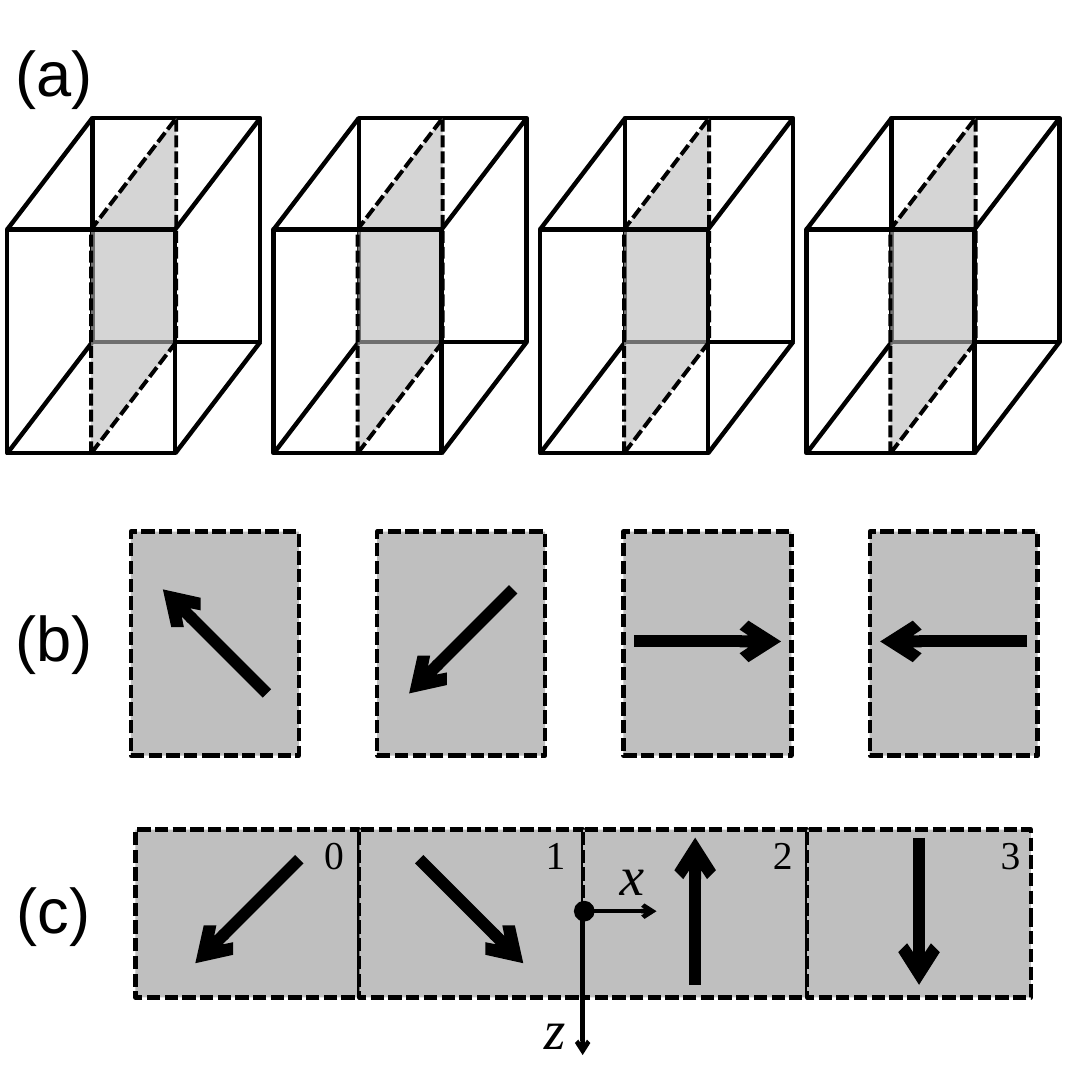
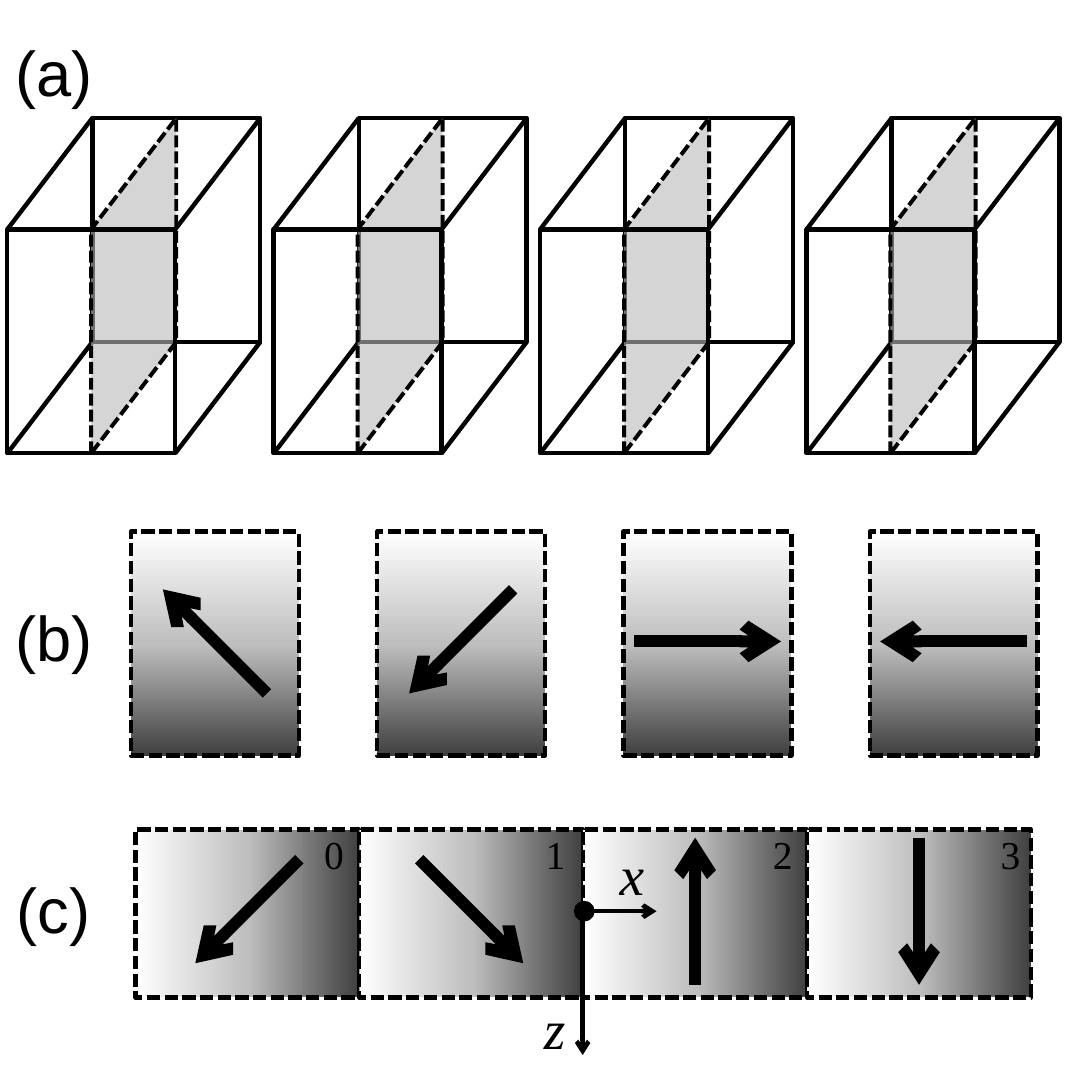
"""Build two slides of boxes, cut planes and orientation arrows, flat and graded."""
from copy import deepcopy
from math import cos, radians, sin

from lxml import etree
from pptx import Presentation
from pptx.dml.color import RGBColor
from pptx.enum.dml import MSO_LINE
from pptx.enum.shapes import MSO_CONNECTOR, MSO_SHAPE
from pptx.enum.text import MSO_AUTO_SIZE
from pptx.oxml.ns import qn
from pptx.util import Cm, Pt

RECTANGLE, OVAL = MSO_SHAPE.RECTANGLE, MSO_SHAPE.OVAL
STRAIGHT, DASHED = MSO_CONNECTOR.STRAIGHT, MSO_LINE.SQUARE_DOT
FIT_SHAPE = MSO_AUTO_SIZE.SHAPE_TO_FIT_TEXT

BLACK = RGBColor(0x00, 0x00, 0x00)
WHITE = RGBColor(0xFF, 0xFF, 0xFF)
GREY = RGBColor(0xBF, 0xBF, 0xBF)
DARK_GREY = RGBColor(0x40, 0x40, 0x40)
PLANE_GREY = RGBColor(0xBA, 0xBA, 0xBA)
PLANE_OPACITY = 60

SLIDE_SIDE = 19.51
FACE_W, FACE_H = 3, 4
DEPTH_X, DEPTH_Y = 1.52, 1.99
BOX_COUNT, BOX_LEFT, BOX_TOP, BOX_PITCH = 4, 0.13, 4.1, 4.76
ARROW_LENGTH, ARROW_RISE = 2.63, 0.04
THIN, PLANE_LINE, THICK = 2.25, 2, 6

SLIDE_SHADES = [(GREY,), (WHITE, GREY, DARK_GREY)]

# Rows give first centre x, centre y, pitch, panel rotation and arrow headings.
ROWS = [
    (3.84, 11.5, 4.4, 0, (225, 135, 0, 180)),
    (4.42, 16.32, 4, 270, (135, 45, 270, 90)),
]
ROW_LABELS = [
    ("(a)", 0.03, 0.48, 1.9),
    ("(b)", 0.03, 10.57, 1.9),
    ("(c)", 0.05, 15.42, 1.83),
]
AXES = [
    ((10.44, 16.28), (11.73, 16.28)),
    ((10.41, 16.33), (10.41, 18.85)),
]
ORIGIN_DOT = (10.29, 16.13, 0.3, 0.3)
AXIS_NAMES = [("x", 10.82, 14.88, 0.97), ("z", 9.47, 17.63, 0.89)]
PANEL_NUMBERS = [
    ("0", 5.54, 14.71, 0.86),
    ("1", 9.5, 14.71, 0.86),
    ("2", 13.56, 14.71, 0.86),
    ("3", 17.63, 14.71, 0.86),
]


def outline(shape, weight, dashed=False):
    shape.line.color.rgb = BLACK
    shape.line.width = Pt(weight)
    if dashed:
        shape.line.dash_style = DASHED


def add_line(shapes, start, end, weight=THIN, arrow=False):
    line = shapes.add_connector(STRAIGHT, *(Cm(v) for v in (*start, *end)))
    outline(line, weight)
    properties = line._element.spPr
    if arrow:
        etree.SubElement(properties.find(qn("a:ln")), qn("a:tailEnd"), type="arrow")
    etree.SubElement(properties, qn("a:effectLst"))


def add_outlined(shapes, kind, place, shades=(), weight=THIN, dashed=False):
    shape = shapes.add_shape(kind, *(Cm(v) for v in place))
    shape.shadow.inherit = False
    outline(shape, weight, dashed)
    paint(shape, shades)
    return shape


def paint(shape, shades):
    fill = shape.fill
    if not shades:
        fill.background()
    elif len(shades) == 1:
        fill.solid()
        fill.fore_color.rgb = shades[0]
    else:
        fill.gradient()
        fill.gradient_angle = 270
        stops = shape._element.spPr.find(qn("a:gradFill")).find(qn("a:gsLst"))
        while len(stops) < len(shades):
            stops.append(deepcopy(stops[0]))
        for i, (stop, shade) in enumerate(zip(fill.gradient_stops, shades)):
            stop.color.rgb = shade
            stop.position = i / (len(shades) - 1)


def add_plane(shapes, corners):
    start, *others = [(Cm(x), Cm(y)) for x, y in corners]
    builder = shapes.build_freeform(*start)
    builder.add_line_segments(others, close=True)
    plane = builder.convert_to_shape()
    plane.shadow.inherit = False
    outline(plane, PLANE_LINE, dashed=True)
    paint(plane, (PLANE_GREY,))
    colour = plane._element.spPr.find(qn("a:solidFill"))[0]
    etree.SubElement(colour, qn("a:alpha"), val=str(PLANE_OPACITY * 1000))


def add_box(shapes, left):
    right, middle = left + FACE_W, left + FACE_W / 2
    top, bottom = BOX_TOP, BOX_TOP + FACE_H

    def behind(x, y):
        return x + DEPTH_X, y - DEPTH_Y

    add_outlined(shapes, RECTANGLE, (*behind(left, top), FACE_W, FACE_H))
    for corner in ((left, top), (right, bottom), (left, bottom)):
        add_line(shapes, corner, behind(*corner))
    add_plane(shapes, [(middle, bottom), (middle, top),
                       behind(middle, top), behind(middle, bottom)])
    add_outlined(shapes, RECTANGLE, (left, top, FACE_W, FACE_H))
    add_line(shapes, (right, top), behind(right, top))


def add_row(shapes, first_x, y, pitch, rotation, headings, shades):
    centres = [first_x + i * pitch for i in range(len(headings))]
    for x in centres:
        place = (x - FACE_W / 2, y - FACE_H / 2, FACE_W, FACE_H)
        add_outlined(shapes, RECTANGLE, place, shades, dashed=True).rotation = rotation
    for x, heading in zip(centres, headings):
        dx = ARROW_LENGTH / 2 * cos(radians(heading))
        dy = ARROW_LENGTH / 2 * sin(radians(heading))
        arrow_y = y - ARROW_RISE
        add_line(shapes, (x - dx, arrow_y - dy), (x + dx, arrow_y + dy), THICK, True)


def add_labels(shapes, labels, height, font, size, italic=False):
    for words, left, top, width in labels:
        frame = shapes.add_textbox(Cm(left), Cm(top), Cm(width), Cm(height)).text_frame
        frame.word_wrap = False
        frame.auto_size = FIT_SHAPE
        frame.text = words
        style = frame.paragraphs[0].font
        style.name, style.size, style.italic = font, Pt(size), italic
        style.color.rgb = BLACK


def add_figure(shapes, shades):
    for i in range(BOX_COUNT):
        add_box(shapes.add_group_shape().shapes, BOX_LEFT + i * BOX_PITCH)
    for row in ROWS:
        add_row(shapes.add_group_shape().shapes, *row, shades)
    for start, end in AXES:
        add_line(shapes, start, end, arrow=True)
    add_outlined(shapes, OVAL, ORIGIN_DOT, (BLACK,), PLANE_LINE)
    add_labels(shapes, ROW_LABELS, 1.63, "Arial", 32)
    add_labels(shapes, AXIS_NAMES, 1.45, "Times New Roman", 28, italic=True)
    add_labels(shapes, PANEL_NUMBERS, 1.12, "Times New Roman", 20)


deck = Presentation()
deck.slide_width = deck.slide_height = Cm(SLIDE_SIDE)
blank = deck.slide_layouts[6]
for slide_shades in SLIDE_SHADES:
    add_figure(deck.slides.add_slide(blank).shapes, slide_shades)
deck.save("out.pptx")
